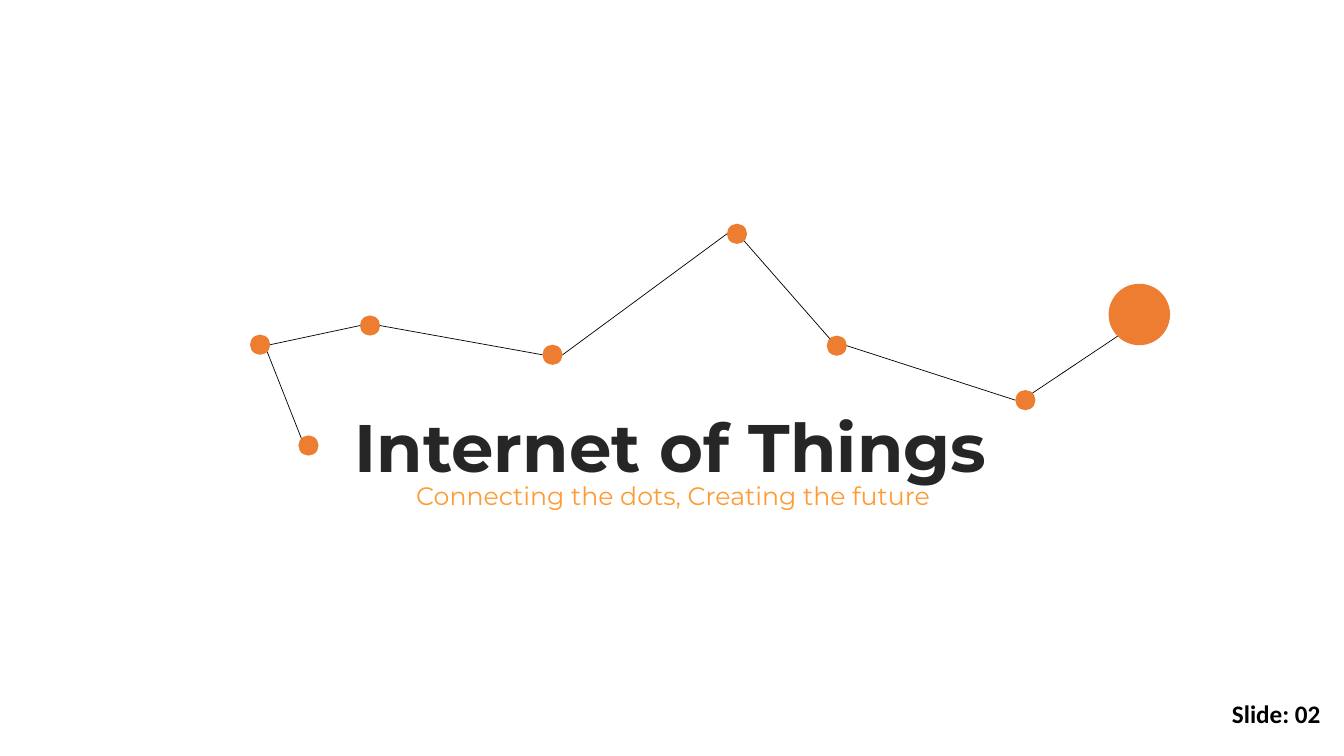
from math import cos, radians, sin

from lxml import etree
from pptx import Presentation
from pptx.dml.color import RGBColor
from pptx.enum.shapes import MSO_CONNECTOR, MSO_SHAPE
from pptx.enum.text import MSO_ANCHOR, PP_ALIGN
from pptx.oxml.ns import qn
from pptx.util import Inches, Pt

OVAL = MSO_SHAPE.OVAL
STRAIGHT = MSO_CONNECTOR.STRAIGHT
TOP = MSO_ANCHOR.TOP
LEFT = PP_ALIGN.LEFT

# Content
TITLE = "Internet of Things"
TAGLINE = "Connecting the dots, Creating the future"
SLIDE_LABEL = "Slide: 02"

# Dots in chain order: centre x, centre y, diameter (inches)
SMALL, LARGE = 0.2, 0.61
DOTS = [
    (3.06, 4.42, SMALL),
    (2.58, 3.42, SMALL),
    (3.67, 3.23, SMALL),
    (5.48, 3.52, SMALL),
    (7.31, 2.32, SMALL),
    (8.3, 3.43, SMALL),
    (10.17, 3.97, SMALL),
    (11.3, 3.12, LARGE),
]
# Angles, clockwise from the right, where each link leaves and meets its dots
LINKS = [(225, 45), (180 - 180, 180), (0, 180), (0, 180), (45, 225), (0, 180), (315, 135)]

THEME = {
    "heading_font": "Montserrat",
    "label_font": "Calibri",
    "title_size": 48,
    "text_size": 18,
    "link_width": 0.5,
    "title": RGBColor(0x26, 0x26, 0x26),
    "tagline": RGBColor(0xFF, 0x9B, 0x35),
    "black": RGBColor(0, 0, 0),
    "dot": RGBColor(0xED, 0x7D, 0x31),
}


def write(shape, text, font, size, color, bold=False, wrap=False):
    tf = shape.text_frame
    tf.word_wrap = wrap
    tf.vertical_anchor = TOP
    p = tf.paragraphs[0]
    p.alignment = LEFT
    p.line_spacing = 1.0
    r = p.add_run()
    r.text = text
    r.font.name = font
    r.font.size = Pt(size)
    r.font.bold = bold
    r.font.color.rgb = color


def rim_point(dot, angle):
    x, y, diameter = dot
    turn = radians(angle)
    return Inches(x + diameter / 2 * cos(turn)), Inches(y + diameter / 2 * sin(turn))


def add_dot(s, x, y, diameter):
    sp = s.shapes.add_shape(OVAL, Inches(x - diameter / 2), Inches(y - diameter / 2),
                            Inches(diameter), Inches(diameter))
    sp.shadow.inherit = False
    sp.fill.solid()
    sp.fill.fore_color.rgb = THEME["dot"]
    sp.line.fill.background()


def add_link(s, start, end):
    link = s.shapes.add_connector(STRAIGHT, *start, *end)
    link.line.color.rgb = THEME["black"]
    link.line.width = Pt(THEME["link_width"])
    etree.SubElement(link._element.spPr, qn("a:effectLst"))


def main():
    prs = Presentation()
    prs.slide_width, prs.slide_height = Inches(13.33), Inches(7.5)
    s = prs.slides.add_slide(prs.slide_layouts[5])

    # Title
    title = s.shapes.title
    title.left, title.top = Inches(3.42), Inches(3.97)
    title.width, title.height = Inches(7.29), Inches(0.91)
    write(title, TITLE, THEME["heading_font"], THEME["title_size"],
          THEME["title"], bold=True, wrap=True)

    # Tagline and slide label
    tagline = s.shapes.add_textbox(Inches(4.03), Inches(4.72), Inches(5.54), Inches(0.4))
    write(tagline, TAGLINE, THEME["heading_font"], THEME["text_size"], THEME["tagline"])
    label = s.shapes.add_textbox(Inches(12.12), Inches(6.88), Inches(1.09), Inches(0.4))
    write(label, SLIDE_LABEL, THEME["label_font"], THEME["text_size"],
          THEME["black"], bold=True)

    # Chain of dots
    for dot in DOTS:
        add_dot(s, *dot)
    for a, b, (leave, meet) in zip(DOTS, DOTS[1:], LINKS):
        add_link(s, rim_point(a, leave), rim_point(b, meet))

    prs.save("out.pptx")


if __name__ == "__main__":
    main()
